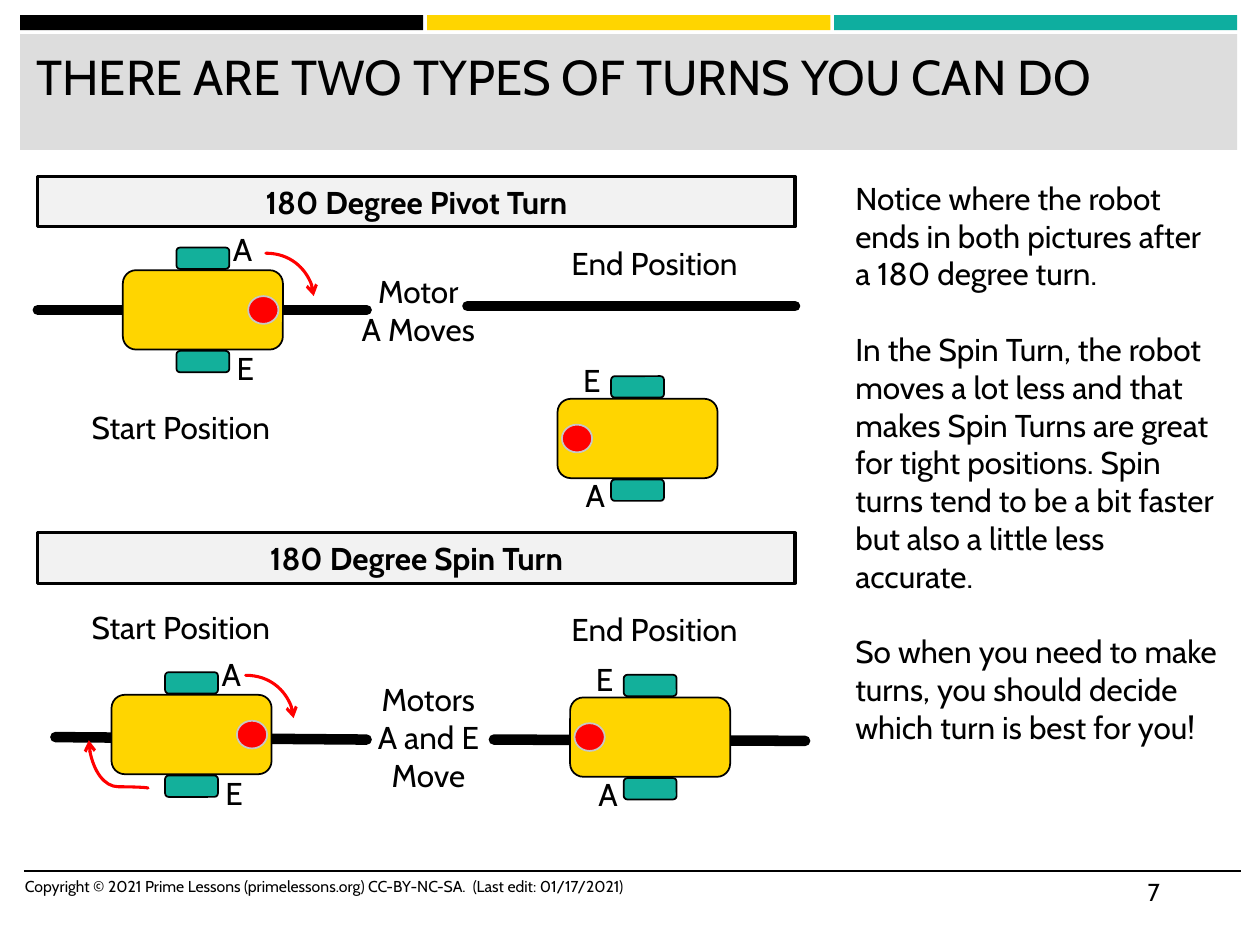
import pptx
import pptx.util
import pptx.dml.color
import pptx.enum.shapes
import pptx.enum.text
import pptx.oxml.ns
from lxml import etree

SCALE = 9144  # EMU per px, 100 px to the inch
FONT = "Cabin"
BLACK, YELLOW, TEAL, RED = "000000", "FFD500", "0EAE9F", "FF0000"
KIND = pptx.enum.shapes.MSO_SHAPE
LINK = pptx.enum.shapes.MSO_CONNECTOR
ALIGN = pptx.enum.text.PP_ALIGN
ANCHOR = pptx.enum.text.MSO_ANCHOR
qn = pptx.oxml.ns.qn


def px(*vals):
    return [round(v * SCALE) for v in vals]


def tint(hue):
    return pptx.dml.color.RGBColor.from_string(hue)


def write(shape, lines, size, align=ALIGN.LEFT, bold=False, gap=0):
    """Fill a shape with one paragraph per line; gap is the space between them in points."""
    frame = shape.text_frame
    frame.word_wrap = True
    for i, line in enumerate(lines):
        para = frame.paragraphs[0] if i == 0 else frame.add_paragraph()
        para.text = line
        para.alignment = align
        if i and gap:
            para.space_before = pptx.util.Pt(gap)
        for run in para.runs:
            run.font.name = FONT
            run.font.size = pptx.util.Pt(size)
            run.font.bold = bold
            run.font.color.rgb = tint(BLACK)


def text(shapes, box, lines, size=18, align=ALIGN.LEFT, gap=0):
    shape = shapes.add_textbox(*px(*box))
    write(shape, lines, size, align, gap=gap)
    shape.text_frame.vertical_anchor = ANCHOR.TOP


def block(shapes, kind, box, fill, line=None, width=1, turn=0):
    shape = shapes.add_shape(kind, *px(*box))
    shape.shadow.inherit = False
    shape.rotation = turn
    shape.fill.solid()
    shape.fill.fore_color.rgb = tint(fill)
    if line:
        shape.line.color.rgb = tint(line)
        shape.line.width = pptx.util.Pt(width)
    else:
        shape.line.fill.background()
    return shape


def stroke(shapes, ends, hue=BLACK, width=6, kind=LINK.STRAIGHT, cap="rnd"):
    link = shapes.add_connector(kind, *px(*ends))
    link.line.color.rgb = tint(hue)
    link.line.width = pptx.util.Pt(width)
    link.line._get_or_add_ln().set("cap", cap)
    etree.SubElement(link._element.spPr, qn("a:effectLst"))
    return link


def arc(shapes, x, y, wide, high, preset="curvedConnector2"):
    """Draw a red curved arrow from the top left to the bottom right of its box."""
    link = stroke(shapes, (x, y, x + wide, y + high), RED, 1.75, LINK.CURVE)
    etree.SubElement(link.line._get_or_add_ln(), qn("a:tailEnd"), type="arrow")
    link._element.spPr.find(qn("a:prstGeom")).set("prst", preset)
    return link


def hook(shapes, x, y, wide, high):
    """Draw a red arrow that runs left along the floor, then bends up."""
    link = arc(shapes, x, y, wide, high, "curvedConnector3")
    props = link._element.spPr
    frame = props.find(qn("a:xfrm"))
    frame.set("rot", str(270 * 60000))
    frame.set("flipV", "1")
    geom = props.find(qn("a:prstGeom"))
    guides = geom.find(qn("a:avLst"))
    if guides is None:
        guides = etree.SubElement(geom, qn("a:avLst"))
    etree.SubElement(guides, qn("a:gd"), name="adj1", fmla="val 2800")


def robot(slide, x, y, right):
    """Group a robot centred on x, y, facing right or left, and return its shapes."""
    shapes = slide.shapes.add_group_shape().shapes
    side, turn = (1, 90) if right else (-1, 270)

    def part(kind, dx, dy, wide, high, fill, line=BLACK):
        box = (x + dx - wide / 2, y + dy - high / 2, wide, high)
        block(shapes, kind, box, fill, line, turn=turn)

    part(KIND.ROUNDED_RECTANGLE, 0, 0, 63, 127, YELLOW)
    for dy in (-41, 41):
        part(KIND.ROUNDED_RECTANGLE, 0, dy, 17, 42, "13B09B")
    part(KIND.OVAL, side * 48, 0, 22, 24, RED, "C7C7C7")
    tags = {"A": (14, -68), "E": (17, 26)} if right else {"A": (-51, 25), "E": (-53, -66)}
    for name, (dx, dy) in tags.items():
        text(shapes, (x + dx, y + dy, 51, 40), [name])
    return shapes


def scene(slide, x, y, title, tracks, start, end, labels, sweep, back=None):
    """Place one kind of turn, with all its parts relative to x, y."""
    shapes = slide.shapes
    for x1, y1, x2, y2 in tracks:
        stroke(shapes, (x + x1, y + y1, x + x2, y + y2))
    bar = block(shapes, KIND.RECTANGLE, (x, y, 601, 40), "F2F2F2", BLACK, 1.75)
    write(bar, [title], 18, ALIGN.CENTER, bold=True)
    bar.text_frame.vertical_anchor = ANCHOR.MIDDLE
    for (dx, dy, wide, high), lines in labels:
        text(shapes, (x + dx, y + dy, wide, high), lines, align=ALIGN.CENTER)
    robot(slide, x + end[0], y + end[1], False)
    parts = robot(slide, x + start[0], y + start[1], True)
    arc(parts, x + sweep[0], y + sweep[1], 38, 34)
    if back:
        hook(parts, x + back[0], y + back[1], 38, 47)


def header(slide, x, y, title):
    for i, hue in enumerate((BLACK, YELLOW, TEAL)):
        block(slide.shapes, KIND.RECTANGLE, (x + 323 * i, y, 320, 12), hue)
    block(slide.shapes, KIND.RECTANGLE, (x, y + 15, 966, 92), "DDDDDD")
    text(slide.shapes, (x + 3, y + 20, 957, 82), [title], 28)


def footer(slide, x, y, note, page):
    stroke(slide.shapes, (x, y, x + 966, y), width=1, cap="flat")
    text(slide.shapes, (x - 9, y, 533, 40), [note], 9)
    text(slide.shapes, (x + 882, y, 84, 40), [page], 14)


def main():
    deck = pptx.Presentation()
    deck.slide_width, deck.slide_height = px(1000, 750)
    slide = deck.slides.add_slide(deck.slide_layouts[6])
    header(slide, 16, 12, "THERE ARE TWO TYPES OF TURNS YOU CAN DO")
    footer(slide, 19, 691, "Copyright © 2021 Prime Lessons (primelessons.org) CC-BY-NC-SA.  "
           "(Last edit: 01/17/2021)", "7")
    scene(slide, 30, 140, "180 Degree Pivot Turn",
          tracks=[(0, 106, 261, 106), (341, 103, 601, 103)],
          start=(131, 106), end=(476, 208),
          labels=[((20, 179, 187, 40), ["Start Position"]),
                  ((396, 49, 187, 40), ["End Position"]),
                  ((229, 71, 146, 71), ["Motor", "A Moves"])],
          sweep=(181, 61))
    scene(slide, 30, 423, "180 Degree Spin Turn",
          tracks=[(14, 162, 261, 164), (362, 164, 609, 165)],
          start=(122, 160), end=(486, 162),
          labels=[((20, 55, 187, 40), ["Start Position"]),
                  ((396, 56, 187, 40), ["End Position"]),
                  ((237, 112, 146, 101), ["Motors", "A and E Move"])],
          sweep=(165, 113), back=(45, 160))
    text(slide.shapes, (669, 137, 307, 495), [
        "Notice where the robot ends in both pictures after a 180 degree turn.",
        "In the Spin Turn, the robot moves a lot less and that makes Spin Turns are great "
        "for tight positions. Spin turns tend to be a bit faster but also a little less accurate.",
        "So when you need to make turns, you should decide which turn is best for you!",
    ], gap=21.6)
    deck.save("out.pptx")


if __name__ == "__main__":
    main()
